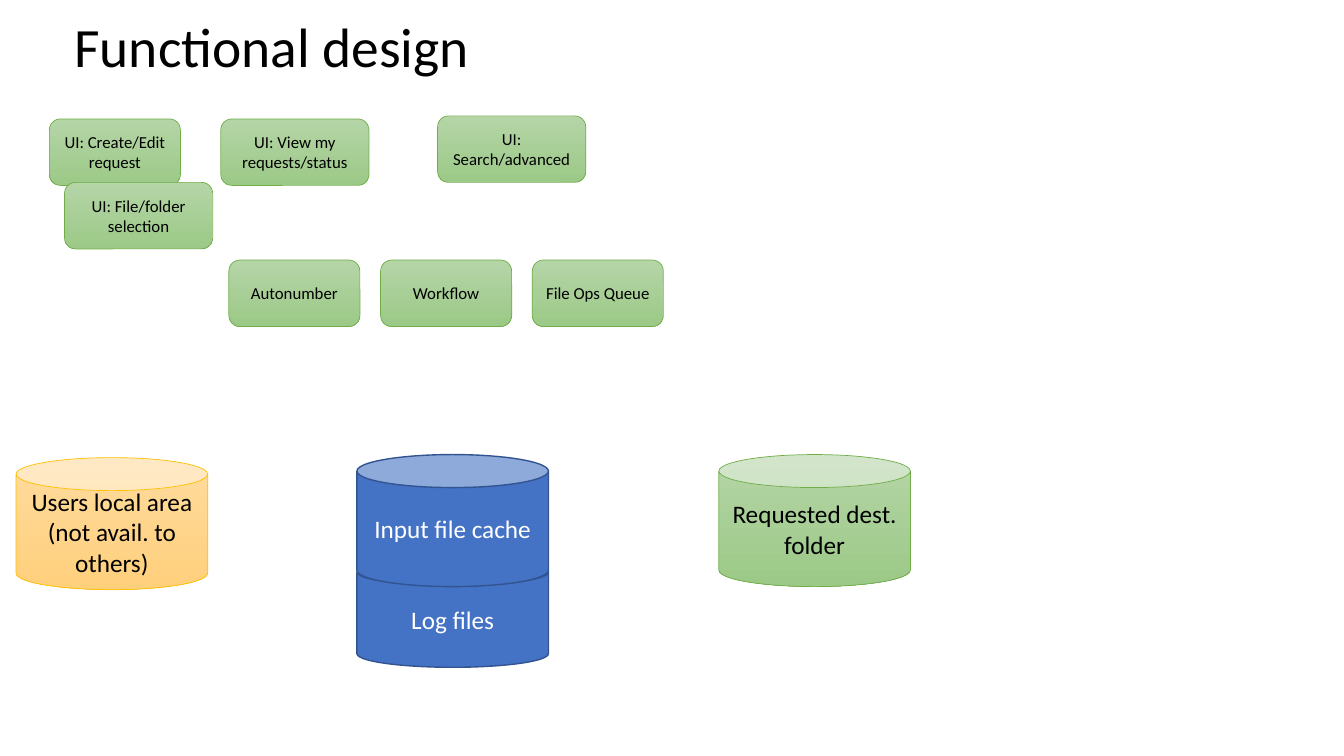
from dataclasses import dataclass

from pptx import Presentation
from pptx.dml.color import RGBColor as RGB
from pptx.enum.shapes import MSO_SHAPE as SHAPE
from pptx.enum.text import MSO_ANCHOR as ANCHOR, PP_ALIGN as ALIGN
from pptx.util import Inches, Pt


@dataclass(frozen=True)
class Style:
    fill: tuple
    line: str
    weight: float
    text: str


@dataclass(frozen=True)
class Theme:
    font: str = "Calibri"
    black: str = "000000"
    title_size: float = 39.6
    module_size: float = 12
    store_size: float = 18
    green: Style = Style(("B5D5A7", "9CC987"), "70AD47", 0.5, "000000")
    gold: Style = Style(("FFDB9E", "FFD07C"), "FFC000", 0.5, "000000")
    blue: Style = Style(("4472C4",), "325491", 1, "FFFFFF")


THEME = Theme()
MODULE_W, WIDE_MODULE_W, MODULE_H = 1.3, 1.47, 0.66
STORE_W, STORE_H = 1.9, 1.31


def write(sp, text, *, size, color, align=ALIGN.CENTER, spacing=None):
    tf = sp.text_frame
    tf.word_wrap = True
    tf.vertical_anchor = ANCHOR.MIDDLE
    p = tf.paragraphs[0]
    p.alignment = align
    p.line_spacing = spacing
    r = p.add_run()
    r.text = text
    r.font.name = THEME.font
    r.font.size = Pt(size)
    r.font.color.rgb = RGB.from_string(color)


def add_block(s, kind, text, box, style, size):
    sp = s.shapes.add_shape(kind, *map(Inches, box))
    sp.shadow.inherit = False
    if len(style.fill) == 1:
        sp.fill.solid()
        sp.fill.fore_color.rgb = RGB.from_string(style.fill[0])
    else:
        sp.fill.gradient()
        sp.fill.gradient_angle = 270
        for stop, color in zip(sp.fill.gradient_stops, style.fill):
            stop.color.rgb = RGB.from_string(color)
    sp.line.color.rgb = RGB.from_string(style.line)
    sp.line.width = Pt(style.weight)
    write(sp, text, size=size, color=style.text)


def add_module(s, text, x, y, w):
    add_block(s, SHAPE.ROUNDED_RECTANGLE, text, (x, y, w, MODULE_H),
              THEME.green, THEME.module_size)


def add_store(s, text, x, y, style, h=STORE_H):
    add_block(s, SHAPE.CAN, text, (x, y, STORE_W, h), style, THEME.store_size)


def add_title(s, text, box):
    sp = s.shapes.add_textbox(*map(Inches, box))
    write(sp, text, size=THEME.title_size, color=THEME.black,
          align=ALIGN.LEFT, spacing=0.9)


def add_interfaces(s, box):
    x, y, w, h = box
    right = x + w - WIDE_MODULE_W
    bottom = y + h - MODULE_H
    add_module(s, "UI: Create/Edit request", x, y + 0.03, MODULE_W)
    add_module(s, "UI: View my requests/status", x + 1.7, y + 0.03, WIDE_MODULE_W)
    add_module(s, "UI: File/folder selection", x + 0.15, bottom, WIDE_MODULE_W)
    add_module(s, "UI: Search/advanced", right, y, WIDE_MODULE_W)


def add_services(s, box):
    x, y, w, _ = box
    services = ("Autonumber", "Workflow", "File Ops Queue")
    pitch = (w - MODULE_W) / (len(services) - 1)
    for i, text in enumerate(services):
        add_module(s, text, x + i * pitch, y, MODULE_W)


def add_storage(s, box):
    x, y, w, h = box
    cache_x = x + 3.38
    log_h = 1.08
    add_store(s, "Users local area (not avail. to others)", x, y + 0.03, THEME.gold)
    add_store(s, "Log files", cache_x, y + h - log_h, THEME.blue, log_h)
    add_store(s, "Input file cache", cache_x, y, THEME.blue)
    add_store(s, "Requested dest. folder", x + w - STORE_W, y, THEME.green)


def main():
    prs = Presentation()
    prs.slide_width, prs.slide_height = Inches(13.33), Inches(7.5)
    s = prs.slides.add_slide(prs.slide_layouts[6])
    add_title(s, "Functional design", (0.64, 0.16, 11.5, 0.66))
    add_interfaces(s, (0.49, 1.15, 5.32, 1.32))
    add_services(s, (2.27, 2.58, 4.31, MODULE_H))
    add_storage(s, (0.16, 4.51, 8.87, 2.11))
    prs.save("out.pptx")


if __name__ == "__main__":
    main()
